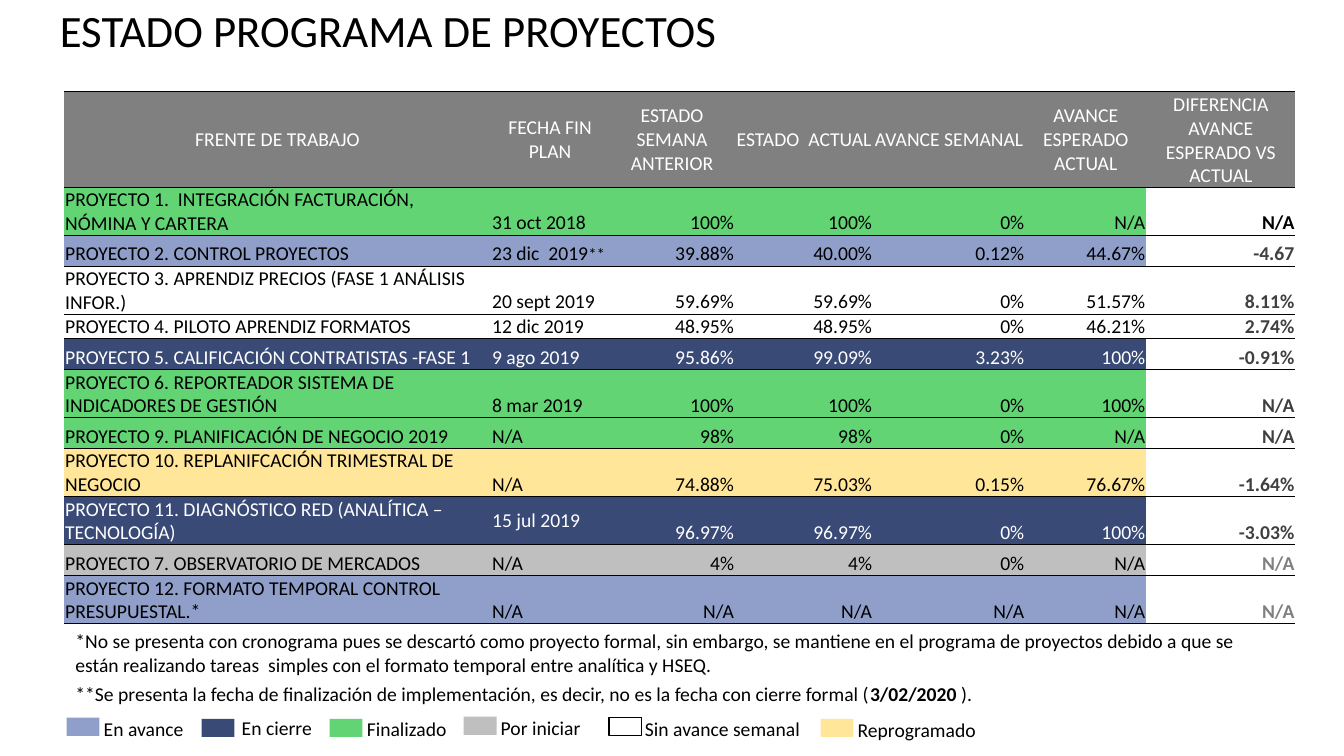
from lxml import etree
from pptx import Presentation
from pptx import util as u
from pptx.dml import color
from pptx.enum import shapes, text
from pptx.oxml import ns

BLACK, WHITE, GREY, DARK = "000000", "FFFFFF", "808080", "404040"
AHEAD, CLOSING, DONE = "8F9FC9", "394A76", "62D474"
PENDING, IDLE, REPLANNED = "BFBFBF", "FFFFFF", "FFE699"

COLUMNS = [305, 84.3, 90, 98.6, 108.7, 86.5, 106.5]
HEADINGS = ["FRENTE DE TRABAJO", "FECHA FIN PLAN", "ESTADO SEMANA ANTERIOR", "ESTADO  ACTUAL",
            "AVANCE SEMANAL", "AVANCE ESPERADO ACTUAL", "DIFERENCIA AVANCE ESPERADO VS ACTUAL"]
PROJECTS = [
    (DONE, BLACK, ["PROYECTO 1.  INTEGRACIÓN FACTURACIÓN, NÓMINA Y CARTERA",
                   "31 oct 2018", "100%", "100%", "0%", "N/A", "N/A"]),
    (AHEAD, DARK, ["PROYECTO 2. CONTROL PROYECTOS",
                   "23 dic  2019**", "39.88%", "40.00%", "0.12%", "44.67%", "-4.67"]),
    (IDLE, DARK, ["PROYECTO 3. APRENDIZ PRECIOS (FASE 1 ANÁLISIS INFOR.)",
                  "20 sept 2019", "59.69%", "59.69%", "0%", "51.57%", "8.11%"]),
    (IDLE, DARK, ["PROYECTO 4. PILOTO APRENDIZ FORMATOS",
                  "12 dic 2019", "48.95%", "48.95%", "0%", "46.21%", "2.74%"]),
    (CLOSING, DARK, ["PROYECTO 5. CALIFICACIÓN CONTRATISTAS -FASE 1",
                     "9 ago 2019", "95.86%", "99.09%", "3.23%", "100%", "-0.91%"]),
    (DONE, DARK, ["PROYECTO 6. REPORTEADOR SISTEMA DE INDICADORES DE GESTIÓN",
                  "8 mar 2019", "100%", "100%", "0%", "100%", "N/A"]),
    (DONE, DARK, ["PROYECTO 9. PLANIFICACIÓN DE NEGOCIO 2019",
                  "N/A", "98%", "98%", "0%", "N/A", "N/A"]),
    (REPLANNED, DARK, ["PROYECTO 10. REPLANIFCACIÓN TRIMESTRAL DE NEGOCIO",
                       "N/A", "74.88%", "75.03%", "0.15%", "76.67%", "-1.64%"]),
    (CLOSING, DARK, ["PROYECTO 11. DIAGNÓSTICO RED (ANALÍTICA – TECNOLOGÍA)",
                     "15 jul 2019", "96.97%", "96.97%", "0%", "100%", "-3.03%"]),
    (PENDING, GREY, ["PROYECTO 7. OBSERVATORIO DE MERCADOS",
                     "N/A", "4%", "4%", "0%", "N/A", "N/A"]),
    (AHEAD, GREY, ["PROYECTO 12. FORMATO TEMPORAL CONTROL PRESUPUESTAL.*",
                   "N/A", "N/A", "N/A", "N/A", "N/A", "N/A"]),
]
LEGEND = [
    (47.5, 512.6, AHEAD, "En avance", 67, 508.3, 76),
    (144, 513.4, CLOSING, "En cierre", 165.6, 507.6, 80),
    (235.4, 513.4, DONE, "Finalizado", 254.9, 508.3, 73),
    (331.2, 511.9, PENDING, "Por iniciar", 350.6, 507.6, 76),
    (434.9, 512.6, IDLE, "Sin avance semanal", 453.6, 508.3, 137),
    (586.1, 513.4, REPLANNED, "Reprogramado", 605.5, 509, 137),
]
NOTES = [
    (445.7, 41, [("*No se presenta con cronograma pues se descartó como proyecto formal, sin embargo, "
                  "se mantiene en el programa de proyectos debido a que se están realizando tareas  "
                  "simples con el formato temporal entre analítica y HSEQ.", False)]),
    (483.8, 24.5, [("**Se presenta la fecha de finalización de implementación, es decir, no es la "
                    "fecha con cierre formal (", False), ("3/02/2020 ", True), (").", False)]),
]


def rgb(value):
    return color.RGBColor.from_string(value)


class StatusSlide:
    """Holds the text style and the current slide, and draws each kind of element on it."""

    def __init__(self, deck, font="Calibri", size=14):
        self.page = deck.slides.add_slide(deck.slide_layouts[5])
        self.font, self.size = font, size

    def span(self, para, words, ink=BLACK, bold=False, size=None):
        run = para.add_run()
        run.text = words
        run.font.name, run.font.size = self.font, u.Pt(size or self.size)
        run.font.bold = bold
        run.font.color.rgb = rgb(ink)

    def title(self, words, left, top, width, height):
        box = self.page.shapes.title
        box.left, box.top, box.width, box.height = map(u.Pt, (left, top, width, height))
        frame = box.text_frame
        frame.auto_size = text.MSO_AUTO_SIZE.SHAPE_TO_FIT_TEXT
        frame.vertical_anchor = text.MSO_ANCHOR.TOP
        para = frame.paragraphs[0]
        para.alignment = text.PP_ALIGN.LEFT
        self.span(para, words, size=32)

    def text_box(self, left, top, width, height, spans):
        box = self.page.shapes.add_textbox(*map(u.Pt, (left, top, width, height)))
        frame = box.text_frame
        frame.word_wrap = True
        frame.auto_size = text.MSO_AUTO_SIZE.SHAPE_TO_FIT_TEXT
        for words, bold in spans:
            self.span(frame.paragraphs[0], words, bold=bold)

    def swatch(self, left, top, fill):
        box = self.page.shapes.add_shape(shapes.MSO_SHAPE.RECTANGLE,
                                         *map(u.Pt, (left, top, 23.5, 13)))
        box.shadow.inherit = False
        box.fill.solid()
        box.fill.fore_color.rgb = rgb(fill)
        if fill == IDLE:
            box.line.color.rgb = rgb(BLACK)
            box.line.width = u.Pt(1)
        else:
            box.line.fill.background()

    def borders(self, cell):
        props = cell._tc.get_or_add_tcPr()
        for side in ("lnL", "lnR"):
            line = etree.SubElement(props, ns.qn("a:" + side), w="0")
            etree.SubElement(line, ns.qn("a:noFill"))
        for side in ("lnT", "lnB"):
            line = etree.SubElement(props, ns.qn("a:" + side), w=str(u.Pt(0.5)))
            fill = etree.SubElement(line, ns.qn("a:solidFill"))
            etree.SubElement(fill, ns.qn("a:srgbClr"), val=BLACK)

    def cell(self, cell, words, fill, ink, align, anchor, bold=False):
        self.borders(cell)
        cell.fill.solid()
        cell.fill.fore_color.rgb = rgb(fill)
        cell.margin_left = cell.margin_right = cell.margin_top = u.Pt(0.75)
        cell.margin_bottom = 0
        cell.vertical_anchor = anchor
        para = cell.text_frame.paragraphs[0]
        para.alignment = align
        main = words.removesuffix("**")
        self.span(para, main, ink, bold)
        if main != words:
            self.span(para, "**", ink, bold, size=12)

    def table(self, left, top, headings, projects):
        heights = [44] + [22] * len(projects)
        heights[4] = 12.2
        table = self.page.shapes.add_table(len(heights), len(COLUMNS), *map(
            u.Pt, (left, top, sum(COLUMNS), sum(heights)))).table
        table.first_row = table.horz_banding = False
        for column, width in zip(table.columns, COLUMNS):
            column.width = u.Pt(width)
        for row, height in zip(table.rows, heights):
            row.height = u.Pt(height)
        align, anchor = text.PP_ALIGN, text.MSO_ANCHOR
        for j, words in enumerate(headings):
            self.cell(table.cell(0, j), words, GREY, WHITE, align.CENTER, anchor.MIDDLE)
        for i, (state, gap_ink, values) in enumerate(projects, 1):
            ink = WHITE if state == CLOSING else BLACK
            for j, words in enumerate(values):
                last = j == len(values) - 1
                middle = words == "15 jul 2019"
                self.cell(table.cell(i, j), words, WHITE if last else state,
                          gap_ink if last else ink, align.LEFT if j < 2 else align.RIGHT,
                          anchor.MIDDLE if middle else anchor.BOTTOM, bold=last)


def main():
    deck = Presentation()
    deck.slide_width, deck.slide_height = u.Pt(960), u.Pt(540)
    status = StatusSlide(deck)
    status.title("ESTADO PROGRAMA DE PROYECTOS", 35.5, -2, 856, 46)
    status.table(45.8, 65.5, HEADINGS, PROJECTS)
    for left, top, fill, label, label_left, label_top, width in LEGEND:
        status.swatch(left, top, fill)
        status.text_box(label_left, label_top, width, 24.5, [(label, False)])
    for top, height, spans in NOTES:
        status.text_box(46.8, top, 870.5, height, spans)
    deck.save("out.pptx")


if __name__ == "__main__":
    main()
